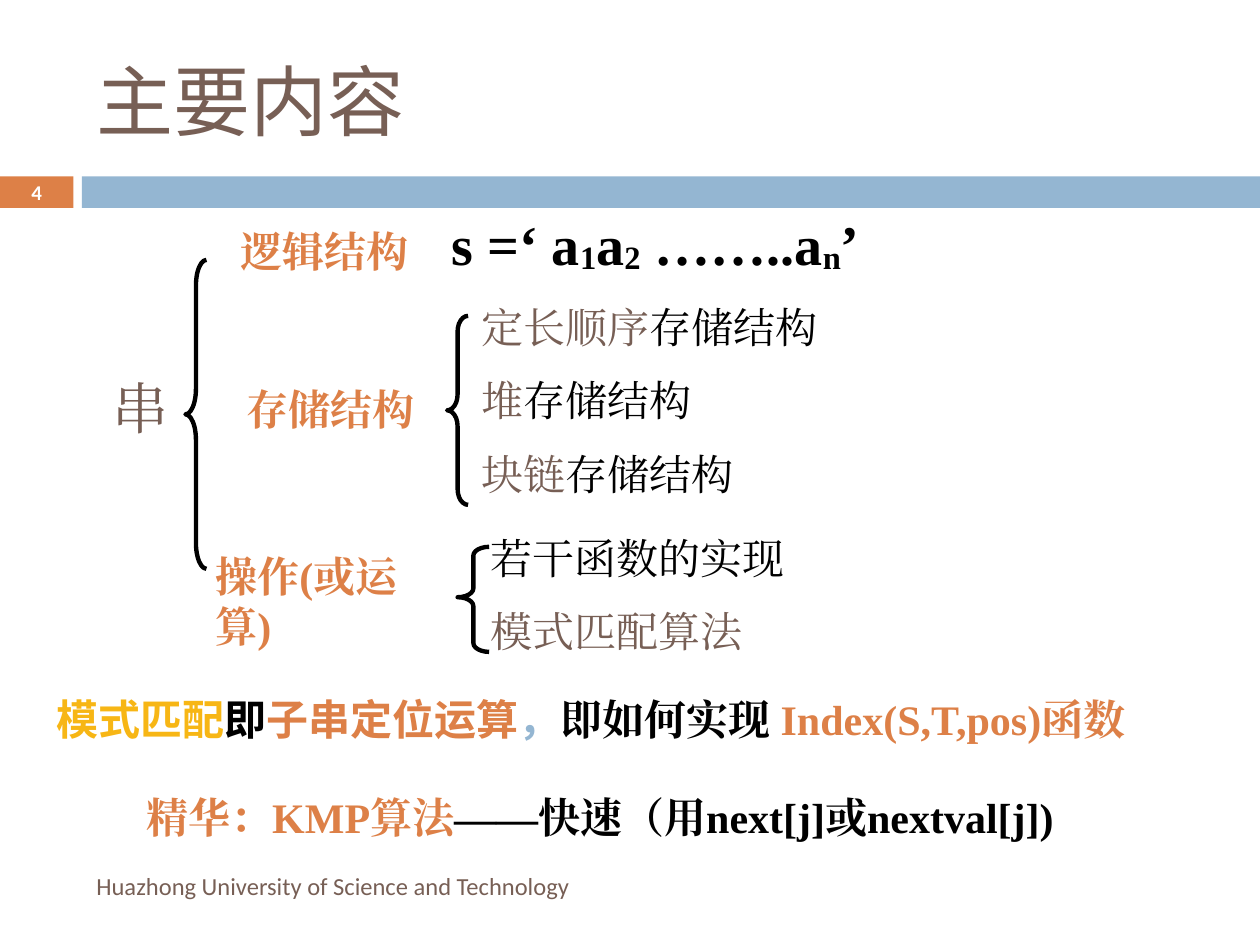
from pptx import Presentation
from pptx.dml.color import RGBColor
from pptx.enum.shapes import MSO_SHAPE
from pptx.enum.text import MSO_ANCHOR, MSO_AUTO_SIZE, PP_ALIGN
from pptx.oxml.ns import qn
from pptx.util import Pt
from lxml.etree import SubElement

BROWN = RGBColor(0x77, 0x5F, 0x55)
ORANGE = RGBColor(0xDD, 0x80, 0x47)
BLUE = RGBColor(0x94, 0xB6, 0xD2)
YELLOW = RGBColor(0xF7, 0xB6, 0x15)
BLACK = RGBColor(0, 0, 0)
WHITE = RGBColor(0xFF, 0xFF, 0xFF)

THEME_FONT = "Calibri"
SERIF = "Times New Roman"
CJK = "Noto Sans CJK SC"


def add_run(paragraph, text, size=24, font=SERIF, color=BLACK, bold=False, baseline=0):
    run = paragraph.add_run()
    run.text = text
    run.font.size = Pt(size)
    run.font.bold = bold
    run.font.color.rgb = color
    run.font.name = font
    properties = run._r.get_or_add_rPr()
    SubElement(properties, qn("a:ea")).set("typeface", font)
    if baseline:
        properties.set("baseline", str(baseline * 1000))


class SlideBuilder:
    def __init__(self, slide, line_width=2.5):
        self.slide = slide
        self.line_width = Pt(line_width)

    def fill_text(self, shape, runs, align=PP_ALIGN.LEFT, anchor=MSO_ANCHOR.TOP,
                  wrap=True, **style):
        """Write (text, overrides) pairs, all sharing the given style."""
        frame = shape.text_frame
        frame.auto_size = MSO_AUTO_SIZE.NONE
        frame.word_wrap = wrap
        frame.vertical_anchor = anchor
        paragraph = frame.paragraphs[0]
        paragraph.alignment = align
        for text, overrides in runs:
            add_run(paragraph, text, **{**style, **overrides})

    def title(self, text, left, top, width, height, **style):
        shape = self.slide.shapes.title
        shape.left, shape.top, shape.width, shape.height = map(Pt, (left, top, width, height))
        self.fill_text(shape, [(text, {})], anchor=MSO_ANCHOR.MIDDLE, **style)

    def text(self, runs, left, top, width, height=36, **style):
        if isinstance(runs, str):
            runs = [(runs, {})]
        box = self.slide.shapes.add_textbox(*map(Pt, (left, top, width, height)))
        self.fill_text(box, runs, **style)

    def bar(self, left, top, width, height, color):
        shape = self.slide.shapes.add_shape(
            MSO_SHAPE.RECTANGLE, *map(Pt, (left, top, width, height)))
        shape.shadow.inherit = False
        shape.fill.solid()
        shape.fill.fore_color.rgb = color
        shape.line.fill.background()

    def brace(self, left, top, width, height, curve, middle=0.5):
        shape = self.slide.shapes.add_shape(
            MSO_SHAPE.LEFT_BRACE, *map(Pt, (left, top, width, height)))
        shape.shadow.inherit = False
        shape.adjustments[0] = curve
        shape.adjustments[1] = middle
        shape.fill.background()
        shape.line.color.rgb = BLACK
        shape.line.width = self.line_width


def main():
    presentation = Presentation()
    presentation.slide_width, presentation.slide_height = Pt(720), Pt(540)
    slide = presentation.slides.add_slide(presentation.slide_layouts[5])
    builder = SlideBuilder(slide)

    builder.bar(0, 100.8, 42, 18, ORANGE)
    builder.bar(46.8, 100.8, 673.2, 18, BLUE)
    builder.title("主要内容", 48, 18, 642, 78, size=44, font=THEME_FONT, color=BROWN)
    builder.text("Huazhong University of Science and Technology", 48, 492, 427, 28.5,
                 anchor=MSO_ANCHOR.MIDDLE, size=14, font=THEME_FONT, color=BROWN)
    builder.text("4", 0, 100, 42, 19.5, align=PP_ALIGN.CENTER, anchor=MSO_ANCHOR.MIDDLE,
                 size=12, font=THEME_FONT, color=WHITE, bold=True)

    builder.text("串", 57.5, 210, 47, 45, wrap=False, size=32, color=BROWN)
    builder.brace(106, 148.5, 12, 176.5, curve=1.22)
    builder.brace(255.5, 180.5, 12, 108, curve=0.75)
    builder.brace(261.5, 312.5, 18, 60, curve=0.28, middle=0.48)

    branches = [
        ("逻辑结构", 130.5, 125.5, 111, False),
        ("存储结构", 134, 215.5, 111, False),
        ("操作(或运算)", 116, 311, 144, True),
    ]
    for label, left, top, width, wrap in branches:
        builder.text(label, left, top, width, wrap=wrap, color=ORANGE, bold=True)

    subscript = {"baseline": -8}
    formula = [("s =‘ a", {}), ("1", subscript), ("a", {}), ("2", subscript),
               (" ……..a", {}), ("n", subscript), ("’", {})]
    builder.text(formula, 251, 116, 408, 45, size=32, bold=True)

    row_step = 42
    for row, kind in enumerate(["定长顺序", "堆", "块链"]):
        builder.text([(kind, {"color": BROWN}), ("存储结构", {})],
                     268, 168.5 + row * row_step, 207)
    for row, (operation, color) in enumerate([("若干函数的实现", BLACK), ("模式匹配算法", BROWN)]):
        builder.text(operation, 273.5, 300.5 + row * row_step, 282, color=color)

    matching = [
        ("模式匹配", {"font": CJK, "color": YELLOW}),
        ("即", {"font": CJK}),
        ("子串定位运算", {"font": CJK, "color": ORANGE}),
        ("，", {"font": CJK, "color": BLUE}),
        ("即如何实现 ", {}),
        ("Index(S,T,pos)函数", {"color": ORANGE}),
    ]
    builder.text(matching, 25, 392.5, 678, bold=True)
    essence = [("精华：KMP算法", {"color": ORANGE}), ("——快速（用next[j]或nextval[j])", {})]
    builder.text(essence, 76.5, 448.5, 584, bold=True)

    presentation.save("out.pptx")


if __name__ == "__main__":
    main()
